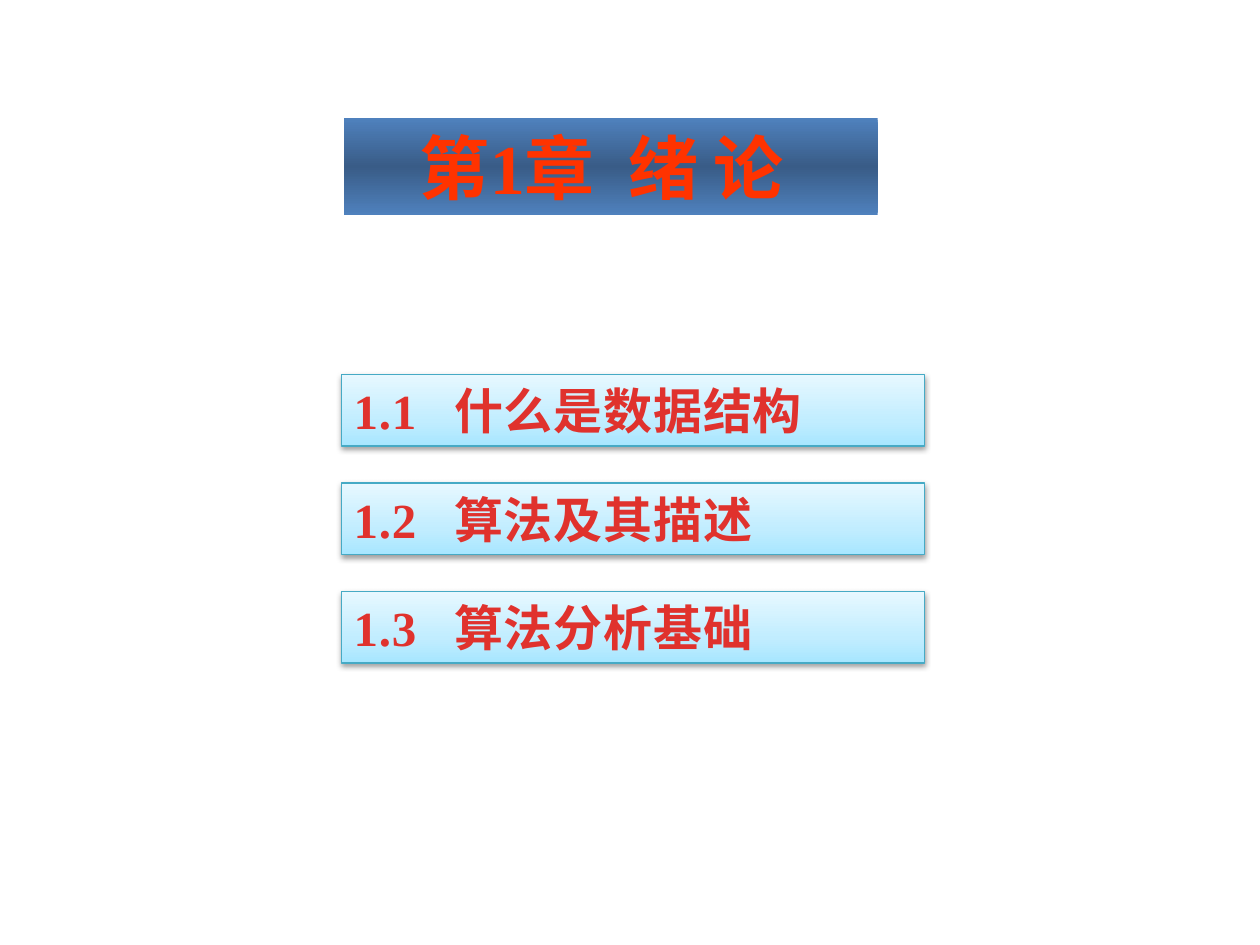
from pptx import Presentation
from pptx.dml.color import RGBColor
from pptx.enum.shapes import MSO_SHAPE as Shape
from pptx.enum.text import MSO_ANCHOR as Anchor, MSO_AUTO_SIZE as AutoSize, PP_ALIGN as Align
from pptx.oxml.ns import qn
from pptx.util import Pt
from lxml.etree import SubElement

FONT = "Times New Roman"
COLORS = {
    "title_text": "FF3300",
    "title_edge": "4F81BD",
    "title_middle": "395C87",
    "item_line": "46AAC5",
    "item_bottom": "A7E6FF",
    "item_middle": "C1EDFF",
    "item_top": "E7F8FF",
    "item_text": "E0322D",
    "item_text_dark": "A2201C",
    "shadow": "000000",
}
TITLE_FILL = [(0, "title_edge"), (50, "title_middle"), (100, "title_edge")]
ITEM_FILL = [(0, "item_bottom"), (35, "item_middle"), (100, "item_top")]
ITEM_TEXT_FILL = [(25, "item_text"), (100, "item_text_dark")]
SECTIONS = [("1.1", "什么是数据结构"), ("1.2", "算法及其描述"), ("1.3", "算法分析基础")]
ITEM_TOP, ITEM_PITCH, TAB_POSITION = 214, 62, 57.5


def rgb(name):
    return RGBColor.from_string(COLORS[name])


def set_gradient(fill, properties, stops, angle):
    fill.gradient()
    gradient = properties.find(qn("a:gradFill"))
    for child in list(gradient):
        gradient.remove(child)
    stop_list = SubElement(gradient, qn("a:gsLst"))
    for position, name in stops:
        stop = SubElement(stop_list, qn("a:gs"), pos=str(position * 1000))
        SubElement(stop, qn("a:srgbClr"), val=COLORS[name])
    SubElement(gradient, qn("a:lin"), ang=str(angle * 60000), scaled="0")


def add_shadow(shape):
    effects = shape._element.spPr.find(qn("a:effectLst"))
    shadow = SubElement(effects, qn("a:outerShdw"), blurRad=str(Pt(3.1)),
                        dist=str(Pt(1.6)), dir=str(90 * 60000), rotWithShape="0")
    color = SubElement(shadow, qn("a:srgbClr"), val=COLORS["shadow"])
    SubElement(color, qn("a:alpha"), val="38000")


def add_bar(slide, left, top, width, height, stops, angle):
    shape = slide.shapes.add_shape(Shape.RECTANGLE, Pt(left), Pt(top), Pt(width), Pt(height))
    shape.shadow.inherit = False
    set_gradient(shape.fill, shape._element.spPr, stops, angle)
    frame = shape.text_frame
    frame.word_wrap = True
    frame.auto_size = AutoSize.SHAPE_TO_FIT_TEXT
    frame.vertical_anchor = Anchor.TOP
    return shape


def add_run(paragraph, text, size, spacing=0):
    run = paragraph.add_run()
    run.text = text
    run.font.name = FONT
    run.font.size = Pt(size)
    run.font.bold = True
    if spacing:
        run._r.get_or_add_rPr().set("spc", str(int(spacing * 100)))
    return run


def add_title(slide):
    shape = add_bar(slide, 196.5, 67.5, 305, 55.5, TITLE_FILL, 90)
    shape.line.fill.background()
    shape.text_frame.margin_right = Pt(17.2)
    paragraph = shape.text_frame.paragraphs[0]
    paragraph.alignment = Align.CENTER
    for text, spacing in [("第1章", 0), (" ", 10), ("绪 论", 0)]:
        run = add_run(paragraph, text, 40, spacing)
        run.font.color.rgb = rgb("title_text")


def add_section(slide, top, number, name):
    shape = add_bar(slide, 195, top, 333.5, 41, ITEM_FILL, 270)
    shape.line.color.rgb = rgb("item_line")
    shape.line.width = Pt(0.75)
    add_shadow(shape)
    paragraph = shape.text_frame.paragraphs[0]
    paragraph.alignment = Align.LEFT
    tabs = SubElement(paragraph._p.get_or_add_pPr(), qn("a:tabLst"))
    SubElement(tabs, qn("a:tab"), pos=str(Pt(TAB_POSITION)), algn="l")
    run = add_run(paragraph, f"{number}\t{name}", 28, 0.5)
    set_gradient(run.font.fill, run._r.get_or_add_rPr(), ITEM_TEXT_FILL, 90)


def main():
    presentation = Presentation()
    presentation.slide_width = Pt(720)
    presentation.slide_height = Pt(540)
    slide = presentation.slides.add_slide(presentation.slide_layouts[6])
    add_title(slide)
    for index, (number, name) in enumerate(SECTIONS):
        add_section(slide, ITEM_TOP + index * ITEM_PITCH, number, name)
    presentation.save("out.pptx")


if __name__ == "__main__":
    main()
